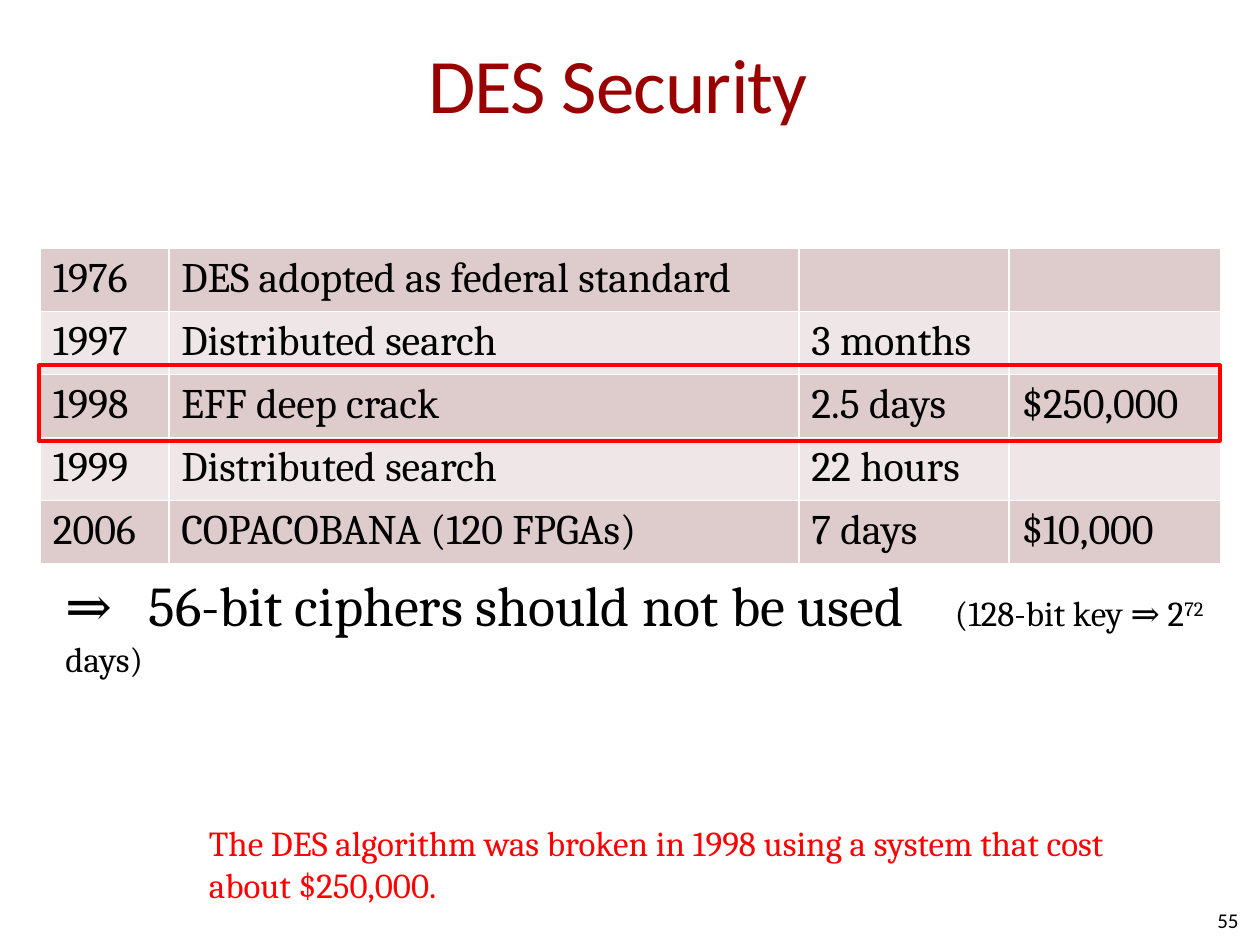
from dataclasses import dataclass
from typing import NamedTuple

from lxml.etree import SubElement
from pptx import Presentation
from pptx.dml.color import RGBColor
from pptx.enum.shapes import MSO_SHAPE
from pptx.enum.text import MSO_ANCHOR, PP_ALIGN
from pptx.oxml.ns import qn
from pptx.util import Inches, Pt


@dataclass(frozen=True)
class Theme:
    heading_font: str = "Calibri"
    body_font: str = "Cambria"
    ink: str = "000000"
    title_ink: str = "990000"
    alert: str = "FF0000"
    grid: str = "FFFFFF"
    bands: tuple[str, str] = ("DECCCC", "EFE7E7")
    title_size: int = 44
    lead_size: int = 32
    table_size: int = 24
    note_size: int = 20
    number_size: int = 12


THEME = Theme()


class Box(NamedTuple):
    left: float
    top: float
    width: float
    height: float

    def emu(self):
        return [Inches(v) for v in self]


class Style(NamedTuple):
    font: str
    size: int
    color: str


class Event(NamedTuple):
    year: str
    what: str
    time: str = ""
    cost: str = ""


EVENTS = [
    Event("1976", "DES adopted as federal standard"),
    Event("1997", "Distributed search", "3 months"),
    Event("1998", "EFF deep crack", "2.5 days", "$250,000"),
    Event("1999", "Distributed search", "22 hours"),
    Event("2006", "COPACOBANA (120 FPGAs)", "7 days", "$10,000"),
]
COLUMN_WIDTHS = (1.02, 5, 1.67, 1.68)
ROW_HEIGHT = 0.48


def set_font(p, style: Style) -> None:
    p.font.name = style.font
    p.font.size = Pt(style.size)
    p.font.color.rgb = RGBColor.from_string(style.color)


def add_text(s, box: Box, text: str, style: Style, align=PP_ALIGN.LEFT,
             anchor=MSO_ANCHOR.TOP, side: float = 0.1, edge: float = 0.05):
    tf = s.shapes.add_textbox(*box.emu()).text_frame
    tf.word_wrap = True
    tf.vertical_anchor = anchor
    tf.margin_left = tf.margin_right = Inches(side)
    tf.margin_top = tf.margin_bottom = Inches(edge)
    p = tf.paragraphs[0]
    p.alignment = align
    if text:
        p.add_run().text = text
    set_font(p, style)
    return p


def add_borders(cell, color: str, width: float) -> None:
    tcPr = cell._tc.get_or_add_tcPr()
    for side in ("lnL", "lnR", "lnT", "lnB"):
        ln = SubElement(tcPr, qn(f"a:{side}"), w=str(Pt(width)))
        SubElement(SubElement(ln, qn("a:solidFill")), qn("a:srgbClr"), val=color)


def add_events(s, left: float, top: float, style: Style) -> None:
    box = Box(left, top, sum(COLUMN_WIDTHS), ROW_HEIGHT * len(EVENTS))
    table = s.shapes.add_table(len(EVENTS), len(COLUMN_WIDTHS), *box.emu()).table
    table.first_row = table.horz_banding = False
    for column, width in zip(table.columns, COLUMN_WIDTHS):
        column.width = Inches(width)
    for i, event in enumerate(EVENTS):
        for j, text in enumerate(event):
            cell = table.cell(i, j)
            cell.text = text
            set_font(cell.text_frame.paragraphs[0], style)
            add_borders(cell, THEME.grid, 1)
            cell.fill.solid()
            cell.fill.fore_color.rgb = RGBColor.from_string(THEME.bands[i % 2])


def add_conclusion(s, box: Box, style: Style) -> None:
    p = add_text(s, box, "", style)
    tabs = SubElement(p._p.get_or_add_pPr(), qn("a:tabLst"))
    p._p.pPr.insert(0, tabs)
    for stop in (0.66, 7.06):
        SubElement(tabs, qn("a:tab"), pos=str(Inches(stop)), algn="l")
    p.add_run().text = "⇒\t56-bit ciphers should not be used\t"
    for text, raised in (("(128-bit key ⇒ 2", False), ("72", True), (" days)", False)):
        r = p.add_run()
        r.text = text
        r.font.size = Pt(THEME.note_size)
        if raised:
            r.font._element.set("baseline", "30000")


def add_highlight(s, box: Box) -> None:
    sp = s.shapes.add_shape(MSO_SHAPE.RECTANGLE, *box.emu())
    sp.shadow.inherit = False
    sp.fill.background()
    sp.line.color.rgb = RGBColor.from_string(THEME.alert)
    sp.line.width = Pt(2.25)


def main() -> None:
    prs = Presentation()
    prs.slide_width, prs.slide_height = Inches(10), Inches(7.5)
    s = prs.slides.add_slide(prs.slide_layouts[6])

    # Conclusion below the table
    add_conclusion(s, Box(0.42, 4.48, 9.42, 1.1),
                   Style(THEME.body_font, THEME.lead_size, THEME.ink))

    # Title, slightly tightened
    title = add_text(s, Box(0.47, 0.03, 9, 1.25), "DES Security ",
                     Style(THEME.heading_font, THEME.title_size, THEME.title_ink),
                     PP_ALIGN.CENTER, MSO_ANCHOR.MIDDLE, side=0)
    title.runs[0].font._element.set("spc", "-50")

    # Slide number
    add_text(s, Box(7.5, 7.1, 2.33, 0.4), "55",
             Style(THEME.heading_font, THEME.number_size, THEME.ink),
             PP_ALIGN.RIGHT, MSO_ANCHOR.MIDDLE, side=0, edge=0)

    # History of attacks, with the 1998 row framed
    add_events(s, 0.32, 1.97, Style(THEME.body_font, THEME.table_size, THEME.ink))
    add_highlight(s, Box(0.31, 2.9, 9.37, 0.6))

    # Remark on the framed row
    add_text(s, Box(1.56, 6.47, 7.5, 0.77),
             "The DES algorithm was broken in 1998 using a system that cost about $250,000.",
             Style(THEME.body_font, THEME.note_size, THEME.alert))

    prs.save("out.pptx")


if __name__ == "__main__":
    main()
